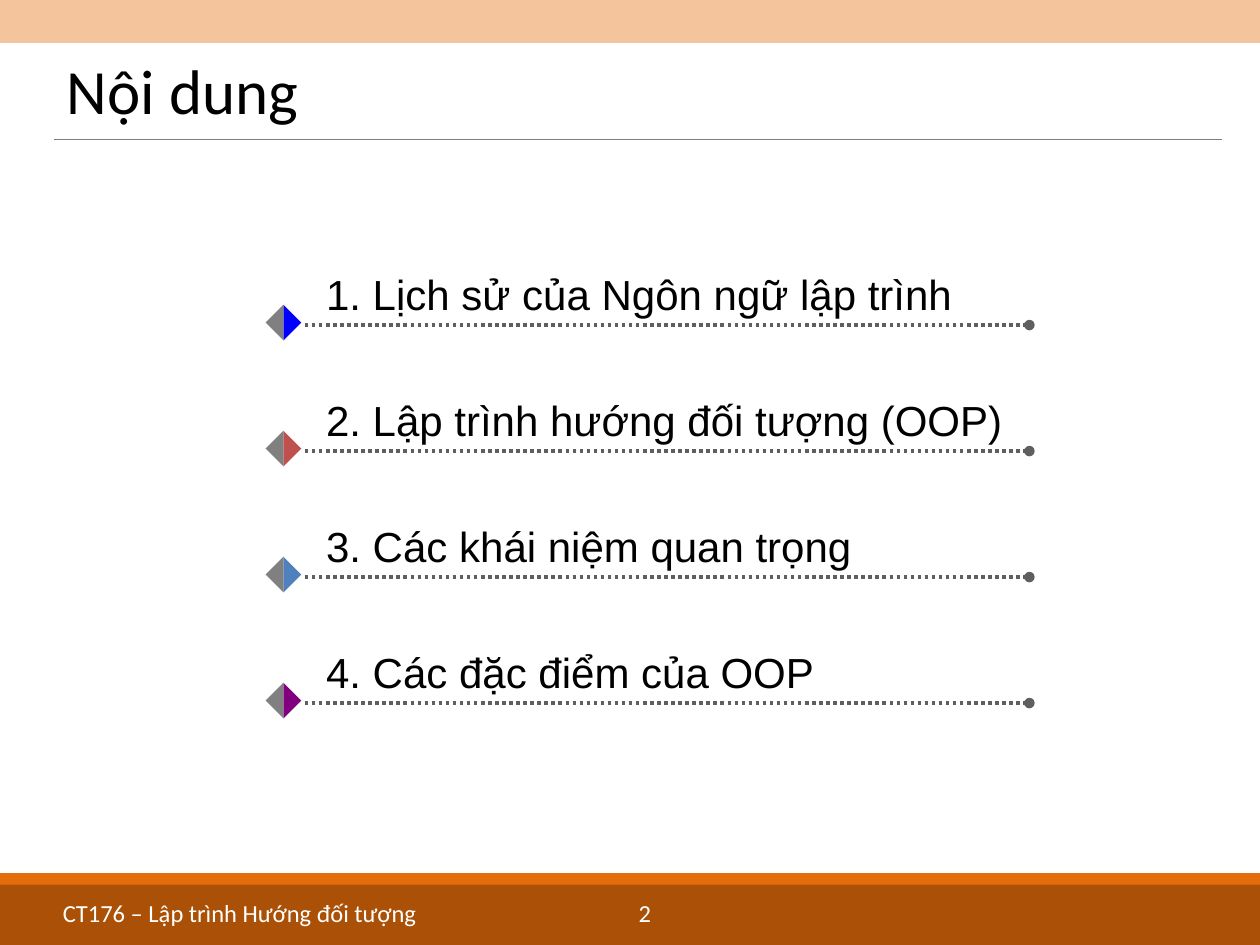
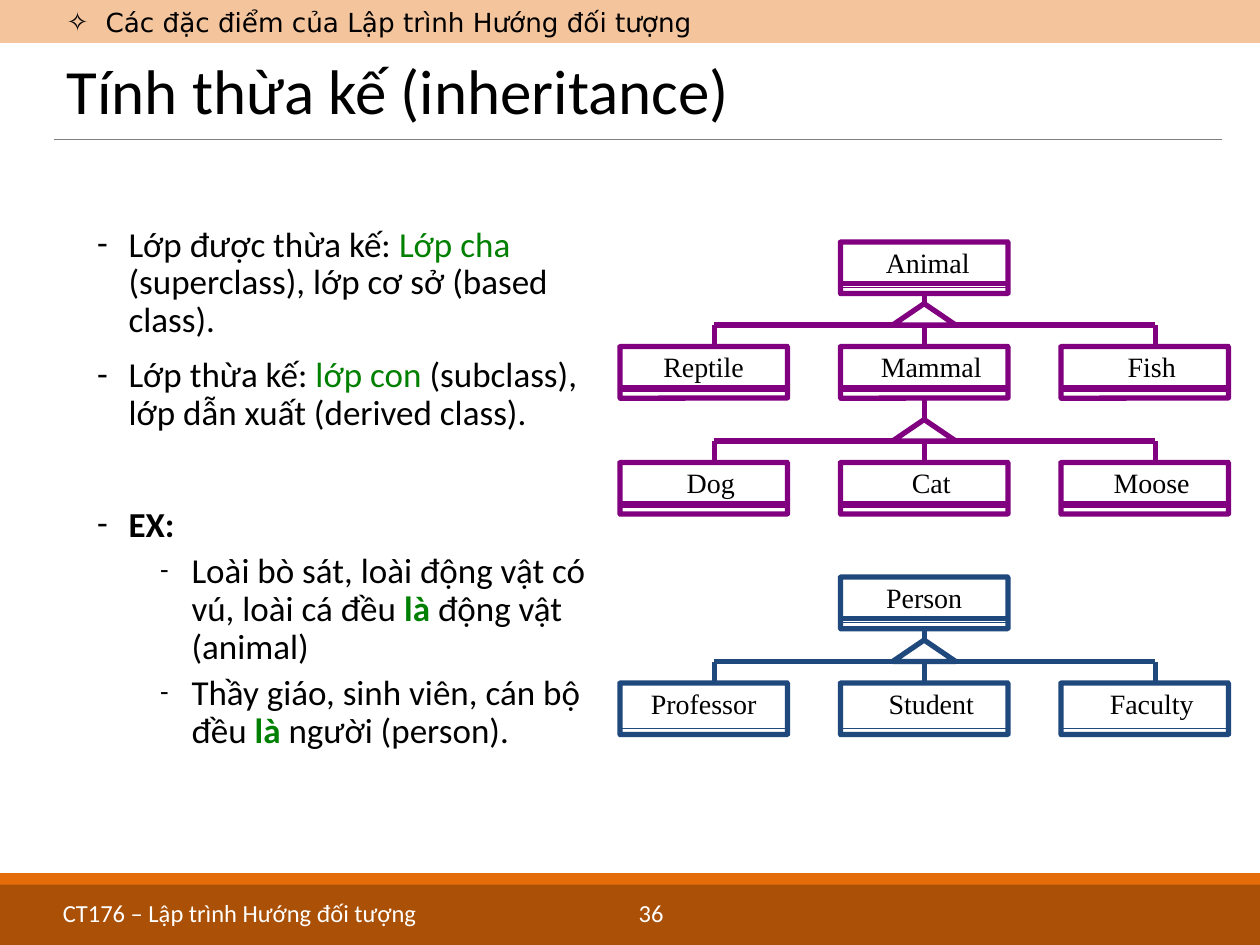
import pptx
import pptx.util
import pptx.dml.color
import pptx.enum.dml
import pptx.enum.shapes
import pptx.enum.text
import pptx.oxml
import pptx.oxml.ns
from lxml import etree

Inches = pptx.util.Inches
Pt = pptx.util.Pt
RGBColor = pptx.dml.color.RGBColor
Shape = pptx.enum.shapes.MSO_SHAPE
Anchor = pptx.enum.text.MSO_ANCHOR
Align = pptx.enum.text.PP_ALIGN
qn = pptx.oxml.ns.qn

# Colours
ORANGE = RGBColor(0xE4, 0x6C, 0x0A)
BROWN = RGBColor(0x98, 0x48, 0x07)
GRAY = RGBColor(0x80, 0x80, 0x80)
DARK_GRAY = RGBColor(0x5F, 0x5F, 0x5F)
BLACK = RGBColor(0x00, 0x00, 0x00)
WHITE = RGBColor(0xFF, 0xFF, 0xFF)
GREEN = RGBColor(0x00, 0x80, 0x00)
BLUE = RGBColor(0x00, 0x00, 0xFF)
RED = RGBColor(0xC0, 0x50, 0x4D)
STEEL = RGBColor(0x4F, 0x81, 0xBD)
PURPLE = RGBColor(0x80, 0x00, 0x80)
NAVY = RGBColor(0x1F, 0x49, 0x7D)

# Class diagram measures, in inches
BOX_WIDTH, BOX_HEIGHT, NAME_HEIGHT = 1.33, 0.41, 0.36
COLUMNS = [4.92 + 1.75 * column for column in range(3)]
MIDDLE = COLUMNS[1] + BOX_WIDTH / 2
BAR_LEFT, BAR_RIGHT = 5.67, 9.17
ARROW_WIDTH, ARROW_HEIGHT = 0.5, 0.17
NUDGE = 0.11

COURSE = "CT176 – Lập trình Hướng đối tượng"


class SlideWriter:
    """Holds the shared style and the slide being built."""

    def __init__(self):
        self.deck = pptx.Presentation()
        self.deck.slide_width = Inches(10)
        self.deck.slide_height = Inches(7.5)
        self.page = None

    def start(self, layout, title, number):
        self.page = self.deck.slides.add_slide(self.deck.slide_layouts[layout])
        # Bands and rule
        self.shape(Shape.RECTANGLE, 0, 0, 10, 0.34, ORANGE, alpha=40)
        self.shape(Shape.RECTANGLE, 0, 6.93, 10, 0.57, ORANGE)
        self.shape(Shape.RECTANGLE, 0, 7.02, 10, 0.48, BROWN, alpha=75)
        self.line(0.43, 1.11, 9.7, 1.11, GRAY, 0.5)
        # Footer
        self.text(COURSE, 0.4, 7.08, 4.5, 0.28, 14, "Calibri", WHITE)
        self.text(str(number), 4.97, 7.08, 1, 0.28, 14, "Calibri", WHITE)
        # Title
        box = self.page.shapes.title
        self.place(box, 0.43, 0.4, 9.27, 0.7)
        box.text_frame.text = title
        box.text_frame.vertical_anchor = Anchor.MIDDLE
        para = box.text_frame.paragraphs[0]
        para.alignment = Align.LEFT
        para.line_spacing = 0.9
        self.font(para.runs[0], 36, "Calibri", BLACK)

    def place(self, box, left, top, width, height):
        box.left, box.top = Inches(left), Inches(top)
        box.width, box.height = Inches(width), Inches(height)

    def font(self, span, size, name, color, bold=False):
        span.font.size = Pt(size)
        span.font.name = name
        span.font.color.rgb = color
        span.font.bold = bold

    def shape(self, kind, left, top, width, height, fill=None, line=None,
              weight=0.75, alpha=None):
        box = self.page.shapes.add_shape(
            kind, Inches(left), Inches(top), Inches(width), Inches(height))
        box.shadow.inherit = False
        if fill is None:
            box.fill.background()
        else:
            box.fill.solid()
            box.fill.fore_color.rgb = fill
        if alpha:
            color = box.fill._xPr.find(".//" + qn("a:srgbClr"))
            etree.SubElement(color, qn("a:alpha")).set("val", str(alpha * 1000))
        if line is None:
            box.line.fill.background()
        else:
            box.line.color.rgb = line
            box.line.width = Pt(weight)
        return box

    def line(self, x1, y1, x2, y2, color, weight=3, dotted=False):
        connector = self.page.shapes.add_connector(
            pptx.enum.shapes.MSO_CONNECTOR.STRAIGHT,
            Inches(x1), Inches(y1), Inches(x2), Inches(y2))
        connector.line.color.rgb = color
        connector.line.width = Pt(weight)
        if dotted:
            connector.line.dash_style = pptx.enum.dml.MSO_LINE.ROUND_DOT
            outline = connector.line._get_or_add_ln()
            etree.SubElement(outline, qn("a:tailEnd")).set("type", "oval")
        etree.SubElement(connector._element.spPr, qn("a:effectLst"))
        return connector

    def text(self, words, left, top, width, height, size, name, color):
        box = self.page.shapes.add_textbox(
            Inches(left), Inches(top), Inches(width), Inches(height))
        box.text_frame.word_wrap = True
        box.text_frame.text = words
        self.font(box.text_frame.paragraphs[0].runs[0], size, name, color)
        return box

    def bullet(self, para, mark, left, hanging, font, percent=100):
        props = para._p.get_or_add_pPr()
        props.set("marL", str(Inches(left)))
        props.set("indent", str(-Inches(hanging)))
        for tag, key, value in (("a:buSzPct", "val", str(percent * 1000)),
                                ("a:buFont", "typeface", font),
                                ("a:buChar", "char", mark)):
            etree.SubElement(props, qn(tag)).set(key, value)

    def section(self, words):
        box = self.text(words, 0.43, 0.02, 9.27, 0.31, 15, "DejaVu Sans", BLACK)
        box.text_frame.vertical_anchor = Anchor.MIDDLE
        self.bullet(box.text_frame.paragraphs[0], "✧", 0.31, 0.31, "DejaVu Sans")

    def body(self, items, left, top, width, height):
        box = self.page.placeholders[1]
        self.place(box, left, top, width, height)
        frame = box.text_frame
        frame.auto_size = pptx.enum.text.MSO_AUTO_SIZE.NONE
        for index, (level, before, spans) in enumerate(items):
            para = frame.add_paragraph() if index else frame.paragraphs[0]
            para.level = level
            para.line_spacing = 0.9
            para.space_before = Pt(before)
            self.bullet(para, "-", 0.25 + 0.5 * level, 0.25, "Calibri",
                        80 if level else 100)
            for words, color, bold in spans:
                span = para.add_run()
                span.text = words
                self.font(span, 20, "Calibri", color, bold)

    def agenda_item(self, words, top, color):
        self.text(words, 2.49, top, 5.8, 0.5, 24, "Arial", BLACK)
        self.line(2.42, top + 0.5, 8.17, top + 0.5, DARK_GRAY, 2, dotted=True)
        # The two halves of the diamond
        for fill, turn in ((GRAY, 45), (color, 225)):
            half = self.shape(Shape.RIGHT_TRIANGLE, 2.15, top + 0.38, 0.2, 0.2, fill)
            half.rotation = turn

    def class_box(self, name, left, top, color, nudge=0, divider=True):
        box = self.shape(Shape.ROUNDED_RECTANGLE, left, top, BOX_WIDTH,
                         BOX_HEIGHT, WHITE, color, 3)
        box.adjustments[0] = 0.004
        label = self.shape(Shape.RECTANGLE, left, top, BOX_WIDTH, NAME_HEIGHT,
                           line=color)
        frame = label.text_frame
        frame.word_wrap = True
        frame.vertical_anchor = Anchor.TOP
        frame.margin_left = Inches(0.1 + nudge)
        frame.text = name
        para = frame.paragraphs[0]
        para.alignment = Align.CENTER
        para.line_spacing = 0.94
        self.font(para.runs[0], 16, "Times New Roman", BLACK)
        if divider:
            self.line(left, top + 0.33, left + BOX_WIDTH, top + 0.33, color)
        return box

    def subclasses(self, parent, names, top, color, divider=True):
        """Draws a row of child classes under parent; returns the middle one."""
        boxes = [self.class_box(name, left, top, color, nudge, divider)
                 for (name, nudge), left in zip(names, COLUMNS)]
        bar = top - 0.17
        stem = self.line(MIDDLE, bar, MIDDLE, top, color)
        stem.begin_connect(parent, 2)
        stem.end_connect(boxes[1], 0)
        self.line(BAR_LEFT, bar, BAR_RIGHT, bar, color)
        for x in (BAR_LEFT, BAR_RIGHT):
            self.line(x, bar, x, top, color)
        self.shape(Shape.ISOSCELES_TRIANGLE, MIDDLE - ARROW_WIDTH / 2,
                   bar - ARROW_HEIGHT, ARROW_WIDTH, ARROW_HEIGHT, WHITE, color, 3)
        return boxes[1]


def build_agenda(writer):
    writer.start(5, "Nội dung", 2)
    agenda = [("1. Lịch sử của Ngôn ngữ lập trình", BLUE),
              ("2. Lập trình hướng đối tượng (OOP)", RED),
              ("3. Các khái niệm quan trọng", STEEL),
              ("4. Các đặc điểm của OOP", PURPLE)]
    for row, (words, color) in enumerate(agenda):
        writer.agenda_item(words, 2.08 + row, color)


def build_inheritance(writer):
    writer.start(1, "Tính thừa kế (inheritance)", 36)
    writer.section("Các đặc điểm của Lập trình Hướng đối tượng")
    # Level, space before, spans
    writer.body([
        (0, 10, [("Lớp được thừa kế: ", BLACK, False),
                 ("Lớp cha ", GREEN, False),
                 ("(superclass), lớp cơ sở (based class).", BLACK, False)]),
        (0, 10, [("Lớp thừa kế: ", BLACK, False),
                 ("lớp con", GREEN, False),
                 (" (subclass), lớp dẫn xuất (derived class).", BLACK, False)]),
        (0, 42, [("EX:", BLACK, True)]),
        (1, 5, [("Loài bò sát, loài động vật có vú, loài cá đều ", BLACK, False),
                ("là", GREEN, True),
                (" động vật (animal)", BLACK, False)]),
        (1, 5, [("Thầy giáo, sinh viên, cán bộ đều ", BLACK, False),
                ("là", GREEN, True),
                (" người (person).", BLACK, False)]),
    ], 0.67, 1.75, 4.42, 5)
    # Animal tree
    animal = writer.class_box("Animal", COLUMNS[1], 1.92, PURPLE, NUDGE / 2)
    mammal = writer.subclasses(
        animal, [("Reptile", 0), ("Mammal", NUDGE), ("Fish", NUDGE)], 2.75, PURPLE)
    writer.subclasses(
        mammal, [("Dog", NUDGE), ("Cat", NUDGE), ("Moose", NUDGE)], 3.67, PURPLE)
    # Person tree
    person = writer.class_box("Person", COLUMNS[1], 4.58, NAVY)
    writer.subclasses(
        person, [("Professor", 0), ("Student", NUDGE), ("Faculty", NUDGE)],
        5.42, NAVY, divider=False)


def main():
    writer = SlideWriter()
    build_agenda(writer)
    build_inheritance(writer)
    writer.deck.save("out.pptx")


if __name__ == "__main__":
    main()
